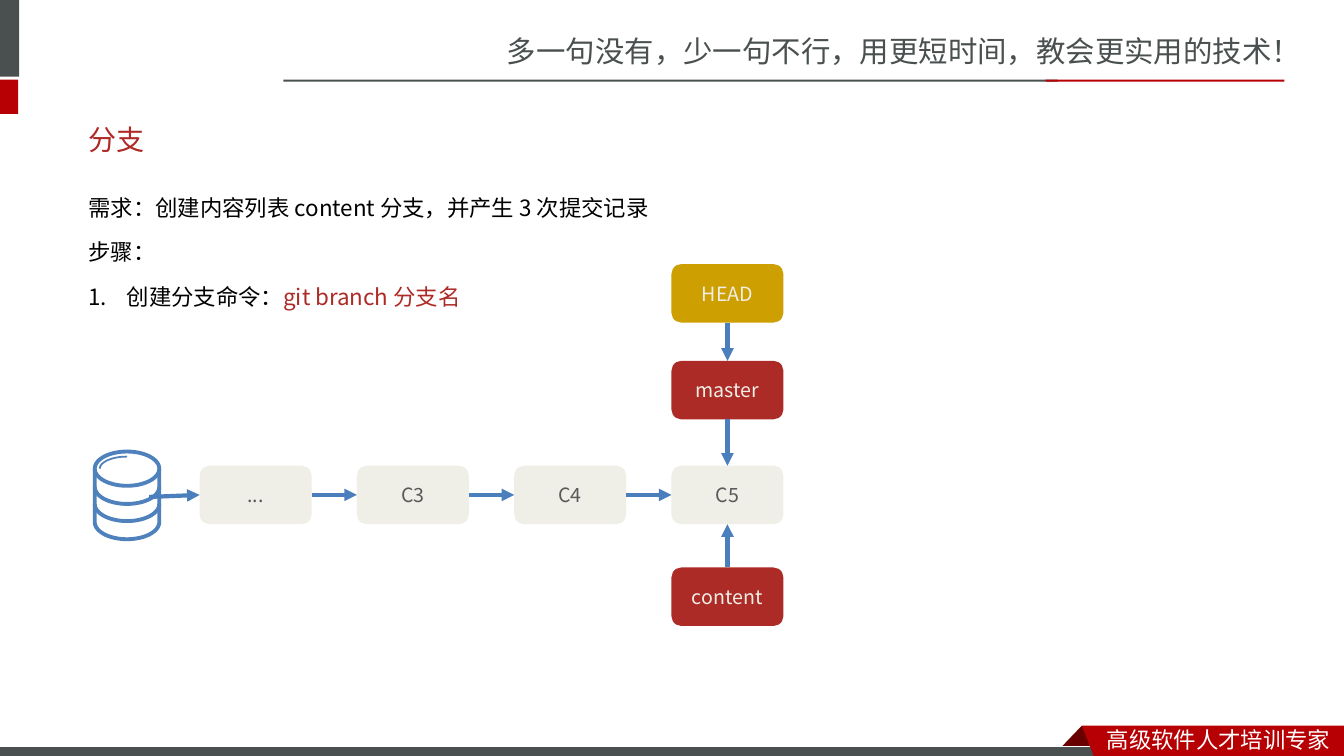
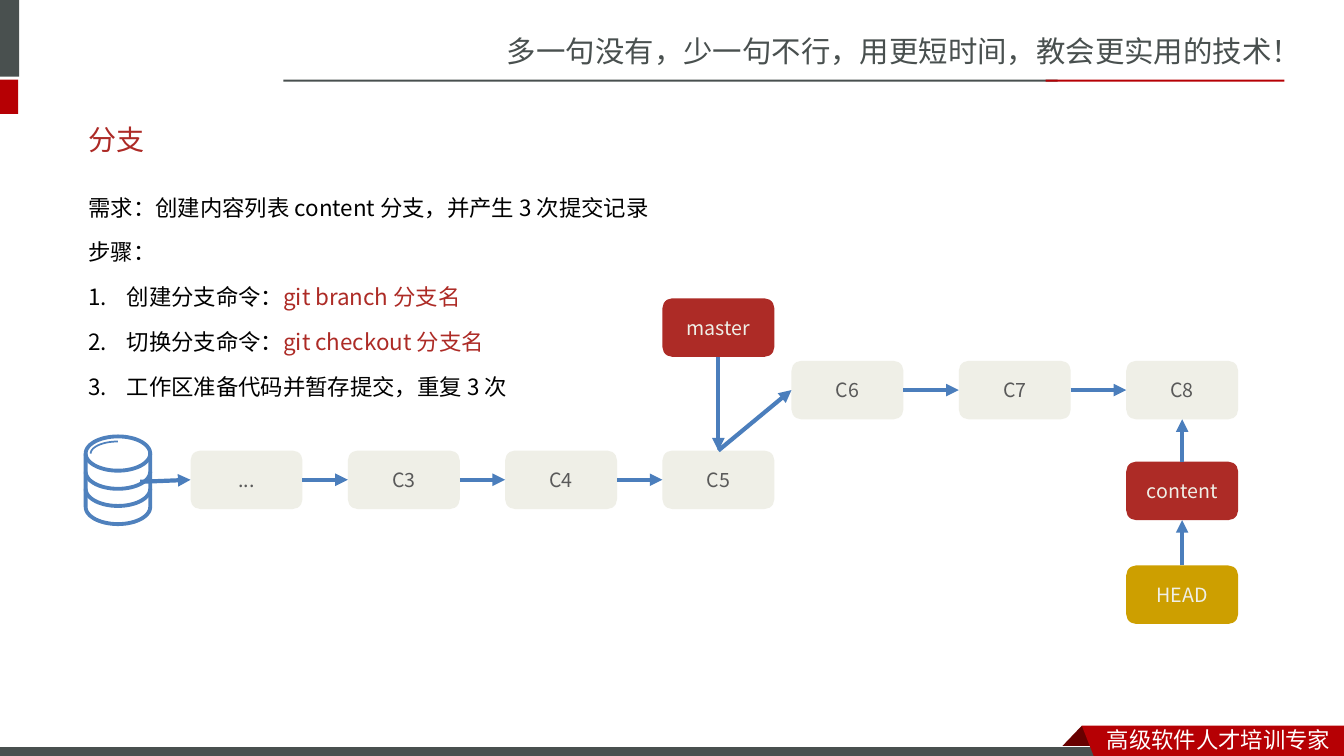
from dataclasses import dataclass
from itertools import pairwise
from math import cos, radians, sin

from lxml.etree import SubElement
from pptx import Presentation
from pptx.dml.color import RGBColor
from pptx.enum.shapes import MSO_CONNECTOR, MSO_SHAPE
from pptx.enum.text import MSO_ANCHOR, PP_ALIGN
from pptx.oxml.ns import qn
from pptx.util import Inches, Pt


@dataclass(frozen=True)
class Theme:
    gray: str = "49504F"
    red: str = "B60004"
    fold: str = "680000"
    white: str = "FFFFFF"
    black: str = "000000"
    title: str = "AD2A26"
    branch: str = "AD2B26"
    head: str = "CD9F00"
    commit: str = "EFEFE7"
    label: str = "595959"
    arrow: str = "4B7EBC"
    store: str = "4F81BD"
    brand_font: str = "Noto Sans CJK SC"
    font: str = "Noto Sans CJK JP"
    motto_size: float = 21
    title_size: float = 20
    body_size: float = 16
    node_size: float = 14


THEME = Theme()
NODE_W, NODE_H = 1.11, 0.58
TOP, LEFT, BOTTOM, RIGHT = range(4)


def color(code):
    return RGBColor.from_string(code)


def style(run, size, code, face=THEME.font):
    run.font.size = Pt(size)
    run.font.color.rgb = color(code)
    run.font.name = face
    SubElement(run.font._element, qn("a:ea")).set("typeface", face)


def paint(shape, code):
    shape.shadow.inherit = False
    shape.fill.solid()
    shape.fill.fore_color.rgb = color(code)
    shape.line.fill.background()
    return shape


def add_bar(slide, box, code):
    return paint(slide.shapes.add_shape(MSO_SHAPE.RECTANGLE, *map(Inches, box)), code)


def add_path(slide, lines):
    """Draw one outline from one or more point lists in inches."""
    first, *rest = [[(Inches(x), Inches(y)) for x, y in line] for line in lines]
    pen = slide.shapes.build_freeform(*first[0])
    pen.add_line_segments(first[1:], close=first[0] == first[-1])
    for line in rest:
        pen.move_to(*line[0])
        pen.add_line_segments(line[1:], close=False)
    return pen.convert_to_shape()


def add_text(slide, box, text, size, code, face=THEME.font):
    frame = slide.shapes.add_textbox(*map(Inches, box)).text_frame
    frame.word_wrap = True
    frame.text = text
    style(frame.paragraphs[0].runs[0], size, code, face)
    return frame


def add_header(slide):
    add_text(slide, (4.93, 0.28, 8.41, 0.47),
             "多一句没有，少一句不行，用更短时间，教会更实用的技术！",
             THEME.motto_size, THEME.gray, THEME.brand_font)
    add_bar(slide, (0, 0, 0.19, 0.76), THEME.gray)
    add_bar(slide, (0, 0.79, 0.18, 0.34), THEME.red)
    add_bar(slide, (2.81, 0.79, 7.68, 0.02), THEME.gray)
    add_bar(slide, (10.37, 0.79, 2.37, 0.02), THEME.red)


def add_footer(slide):
    fold = [(10.73, 7.2), (10.95, 7.43), (10.51, 7.43), (10.73, 7.2)]
    paint(add_path(slide, [fold]), THEME.fold)
    bar = add_bar(slide, (-0.01, 7.41, 11, 0.12), THEME.gray)
    bar.line.color.rgb = color(THEME.white)
    bar.line.width = Pt(0.75)
    ribbon = [(10.73, 7.2), (13.33, 7.2), (13.33, 7.54), (10.86, 7.53), (10.73, 7.2)]
    paint(add_path(slide, [ribbon]), THEME.red)
    add_text(slide, (10.88, 7.15, 2.45, 0.37), "高级软件人才培训专家",
             THEME.body_size, THEME.white, THEME.brand_font)


def add_body(slide, box, steps):
    """Write the task, then the numbered steps as (text, command) pairs."""
    intro = [("需求：创建内容列表 content 分支，并产生 3 次提交记录", ""), ("步骤：", "")]
    frame = slide.shapes.add_textbox(*map(Inches, box)).text_frame
    frame.word_wrap = True
    for i, (text, command) in enumerate(intro + steps):
        para = frame.add_paragraph() if i else frame.paragraphs[0]
        para.text = text
        para.line_spacing = 1.5
        para.space_before = Pt(3.2)
        style(para.runs[0], THEME.body_size, THEME.black)
        if command:
            run = para.add_run()
            run.text = command
            style(run, THEME.body_size, THEME.branch)
        if i >= len(intro):
            props = para._p.get_or_add_pPr()
            props.set("marL", str(Inches(0.38)))
            props.set("indent", str(-Inches(0.38)))
            SubElement(props, qn("a:buAutoNum")).set("type", "arabicPeriod")


def add_node(slide, left, top, text, fill=THEME.commit, ink=THEME.commit):
    node = paint(slide.shapes.add_shape(
        MSO_SHAPE.ROUNDED_RECTANGLE, *map(Inches, (left, top, NODE_W, NODE_H))), fill)
    frame = node.text_frame
    frame.text = text
    frame.vertical_anchor = MSO_ANCHOR.MIDDLE
    frame.paragraphs[0].alignment = PP_ALIGN.CENTER
    style(frame.paragraphs[0].runs[0], THEME.node_size, ink)
    return node


def add_arrow(slide, start, end):
    """Join two ends, each a (node, side) pair or an (x, y) point in inches."""
    free = [(0, 0) if hasattr(spot[0], "shape_id") else spot for spot in (start, end)]
    line = slide.shapes.add_connector(
        MSO_CONNECTOR.STRAIGHT, *[Inches(v) for spot in free for v in spot])
    for spot, join in ((start, line.begin_connect), (end, line.end_connect)):
        if hasattr(spot[0], "shape_id"):
            join(*spot)
    line.line.color.rgb = color(THEME.arrow)
    line.line.width = Pt(3)
    SubElement(line.line._get_or_add_ln(), qn("a:tailEnd")).set("type", "triangle")
    SubElement(line._element.spPr, qn("a:effectLst"))


def arc(x, y, rx, ry, start, stop):
    return [(x + rx * cos(radians(a)), y + ry * sin(radians(a)))
            for a in range(start, stop + 1, 6)]


def add_store(slide, left, top):
    """Draw the repository drum, 0.67 wide and 0.9 high."""
    x, y, rx, ry = left + 0.34, top + 0.19, 0.32, 0.17
    rim = arc(x, y, rx, ry, 0, 354)
    levels = [arc(x, y + drop, rx, ry, 0, 180) for drop in (0.18, 0.35, 0.53)]
    wall = [(x + rx, y), *levels.pop(), (x - rx, y)]
    shine = arc(x, y, 0.27, 0.12, 180, 270)
    for lines, width in (([rim + rim[:1], wall, *levels], 2.75), ([shine], 1.25)):
        drum = add_path(slide, lines)
        drum.shadow.inherit = False
        drum.fill.background()
        drum.line.color.rgb = color(THEME.store)
        drum.line.width = Pt(width)


def add_row(slide, left, top, pitch, names):
    """Place commits at an equal pitch, each pointing to the next."""
    nodes = [add_node(slide, left + i * pitch, top, name, ink=THEME.label)
             for i, name in enumerate(names)]
    for one, two in pairwise(nodes):
        add_arrow(slide, (one, RIGHT), (two, LEFT))
    return nodes


def add_trunk(slide, left, top):
    """Place the drum and the main commits; return the last commit."""
    add_store(slide, left, top)
    nodes = add_row(slide, left + 1.06, top + 0.16, 1.56, ["...", "C3", "C4", "C5"])
    add_arrow(slide, (left + 0.56, top + 0.47), (nodes[0], LEFT))
    return nodes[-1]


def add_ref(slide, target, top, text, fill=THEME.branch):
    """Place a pointer in the target's column, with an arrow to the target."""
    ref = add_node(slide, target.left.inches, top, text, fill)
    sides = (BOTTOM, TOP) if ref.top < target.top else (TOP, BOTTOM)
    add_arrow(slide, (ref, sides[0]), (target, sides[1]))
    return ref


def add_page(deck, steps):
    slide = deck.slides.add_slide(deck.slide_layouts[6])
    add_header(slide)
    add_footer(slide)
    title = add_text(slide, (0.78, 1.1, 11.72, 0.57), "分支",
                     THEME.title_size, THEME.title)
    title.vertical_anchor = MSO_ANCHOR.MIDDLE
    add_body(slide, (0.78, 1.74, 11.72, 4.98), steps)
    return slide


def draw_create(slide, left, top):
    tip = add_trunk(slide, left, top)
    master = add_ref(slide, tip, top - 0.88, "master")
    add_ref(slide, master, top - 1.84, "HEAD", THEME.head)
    add_ref(slide, tip, top + 1.17, "content")


def draw_commits(slide, left, top):
    tip = add_trunk(slide, left, top)
    add_ref(slide, tip, top - 1.35, "master")
    nodes = add_row(slide, left + 7.02, top - 0.73, 1.66, ["C6", "C7", "C8"])
    add_arrow(slide, (tip, TOP), (nodes[0], LEFT))
    content = add_ref(slide, nodes[-1], top + 0.27, "content")
    add_ref(slide, content, top + 1.3, "HEAD", THEME.head)


def main():
    deck = Presentation()
    deck.slide_width, deck.slide_height = Inches(13.33), Inches(7.5)
    steps = [("创建分支命令：", "git branch 分支名"),
             ("切换分支命令：", "git checkout 分支名"),
             ("工作区准备代码并暂存提交，重复 3 次", "")]
    draw_create(add_page(deck, steps[:1]), 0.92, 4.46)
    draw_commits(add_page(deck, steps), 0.83, 4.31)
    deck.save("out.pptx")


if __name__ == "__main__":
    main()
